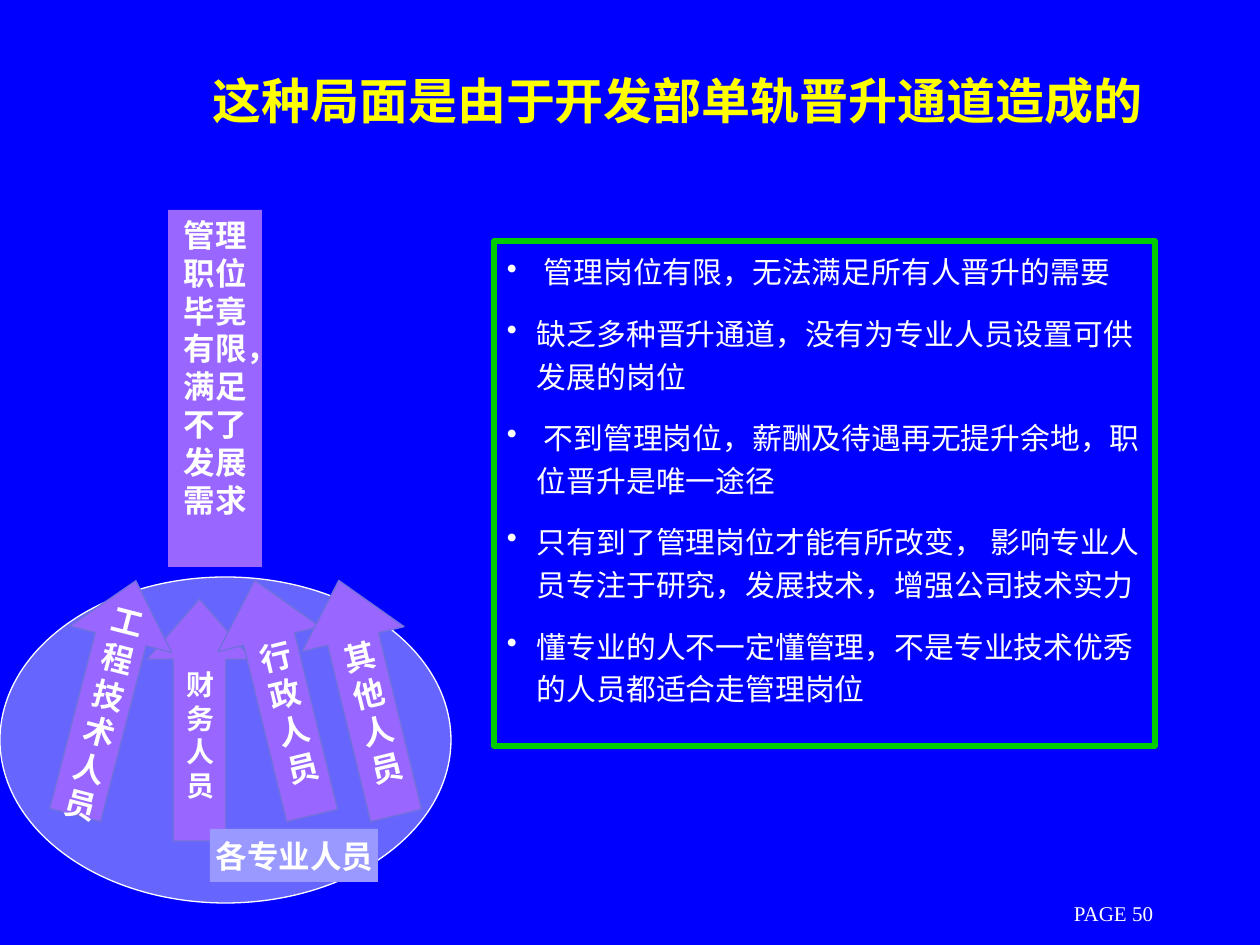
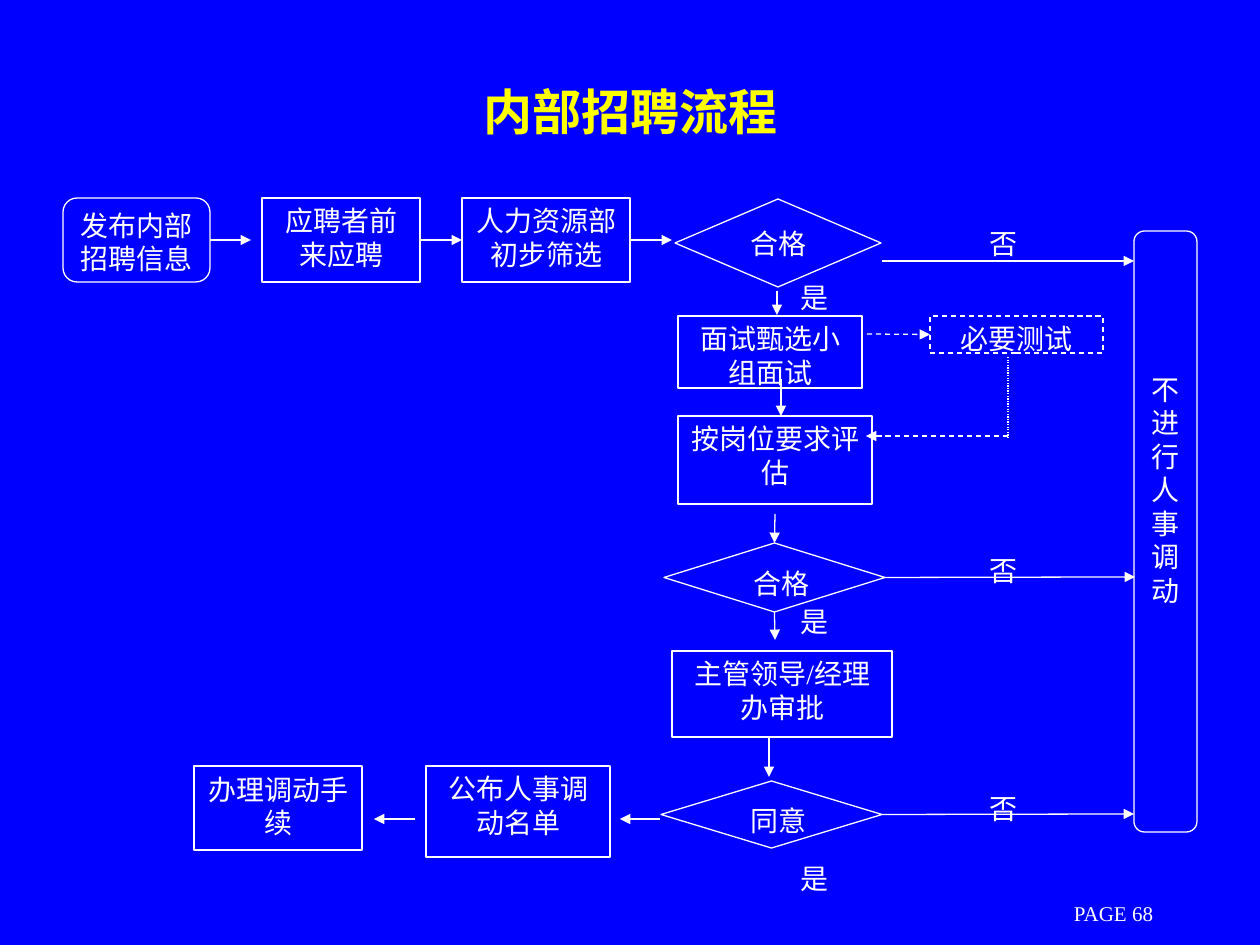
"""Build two slides on promotion channels and internal recruiting."""
from typing import NamedTuple, Optional

from lxml import etree
from pptx import Presentation
from pptx import util as u
from pptx.dml.color import RGBColor
from pptx.enum import dml, shapes, text
from pptx.oxml.ns import qn

PX = u.Inches(1) / 126
COLORS = {
    "background": "0000FF", "title": "FFFF00", "text": "FFFFFF",
    "frame": "00CC00", "arrow": "9966FF", "arrow_edge": "7171DB",
    "crowd": "6666FF", "crowd_label": "9999FF",
}
BODY_FONT = "Times New Roman"
TITLE_FONT = "Noto Sans CJK SC"
BULLET_INDENT = 30
KIND = shapes.MSO_SHAPE
DASH = dml.MSO_LINE
TOP, LEFT, BOTTOM, RIGHT = range(4)


class Area(NamedTuple):
    """A rectangle in px."""
    left: int
    top: int
    width: int
    height: int


class Arrow(NamedTuple):
    """A block arrow for one group of staff."""
    content: str
    left: int
    top: int
    turn: float
    size: int


class Step(NamedTuple):
    """An outlined box of the flowchart."""
    content: str
    kind: shapes.MSO_SHAPE
    area: Area
    dash: Optional[dml.MSO_LINE] = None
    inset_left: int = 13
    inset_top: int = 6


class Joint(NamedTuple):
    """A side of a flowchart step."""
    step: str
    side: int


class Link(NamedTuple):
    """A flowchart line in px with optional joints."""
    x1: int
    y1: int
    x2: int
    y2: int
    start: Optional[Joint] = None
    end: Optional[Joint] = None
    dash: Optional[dml.MSO_LINE] = None
    head: bool = True


def px(length: float) -> u.Emu:
    """Turn px into EMU."""
    return u.Emu(round(length * PX))


def place(area: Area) -> list:
    """Turn an area into EMU."""
    return [px(length) for length in area]


def color(name: str) -> RGBColor:
    """Look up a colour by name."""
    return RGBColor.from_string(COLORS[name])


def add_bullet(para) -> None:
    """Give a paragraph a round bullet and a hanging indent."""
    properties = para._p.get_or_add_pPr()
    properties.set("marL", str(px(BULLET_INDENT)))
    properties.set("indent", str(-px(BULLET_INDENT)))
    tint = etree.SubElement(properties, qn("a:buClr"))
    etree.SubElement(tint, qn("a:srgbClr")).set("val", COLORS["text"])
    etree.SubElement(properties, qn("a:buChar")).set("char", "•")


def write(box, content: str, *, size: float = 16, font: str = BODY_FONT,
          tint: str = "text", bold: bool = False, bullet: bool = False,
          align=text.PP_ALIGN.CENTER, anchor=text.MSO_ANCHOR.TOP,
          wrap: bool = True, line_spacing: Optional[float] = None,
          gap: float = 0, inset_left: int = 13, inset_top: int = 6) -> None:
    """Write formatted text, one paragraph per line."""
    frame = box.text_frame
    frame.word_wrap = wrap
    frame.vertical_anchor = anchor
    frame.margin_left, frame.margin_right = px(inset_left), px(12.6)
    frame.margin_top, frame.margin_bottom = px(inset_top), px(6)
    for index, line in enumerate(content.split("\n")):
        para = frame.add_paragraph() if index else frame.paragraphs[0]
        if bullet:
            add_bullet(para)
        para.alignment = align
        if line_spacing:
            para.line_spacing = line_spacing
        if index and gap:
            para.space_before = u.Pt(gap)
        span = para.add_run()
        span.text = line
        span.font.size = u.Pt(size)
        span.font.name = font
        span.font.bold = bold
        span.font.color.rgb = color(tint)


def add_block(page, kind, area: Area, fill: Optional[str] = None,
              edge: Optional[str] = None, width: float = 0.75):
    """Draw a preset shape with optional fill and outline."""
    box = page.shapes.add_shape(kind, *place(area))
    box.shadow.inherit = False
    if fill:
        box.fill.solid()
        box.fill.fore_color.rgb = color(fill)
    else:
        box.fill.background()
    if edge:
        box.line.color.rgb = color(edge)
        box.line.width = u.Pt(width)
    else:
        box.line.fill.background()
    return box


def add_label(page, content: str, area: Area, **style) -> None:
    """Write text in a plain text box."""
    write(page.shapes.add_textbox(*place(area)), content, **style)


def add_page(deck, title: str, title_area: Area, number: int):
    """Start a slide with its title and page number."""
    page = deck.slides.add_slide(deck.slide_layouts[6])
    middle = text.MSO_ANCHOR.MIDDLE
    add_label(page, f"PAGE {number}", Area(1061, 897, 210, 32), size=12,
              align=text.PP_ALIGN.LEFT, anchor=middle, wrap=False)
    add_label(page, title, title_area, size=28, font=TITLE_FONT,
              tint="title", bold=True, anchor=middle)
    return page


def add_staff_arrow(page, arrow: Arrow) -> None:
    """Draw a tilted block arrow."""
    box = add_block(page, KIND.UP_ARROW, Area(arrow.left, arrow.top, 105, 242),
                    "arrow", "arrow_edge")
    box.adjustments[0], box.adjustments[1] = 0.5, 0.575
    box.rotation = arrow.turn
    write(box, arrow.content, size=arrow.size, bold=True,
          anchor=text.MSO_ANCHOR.MIDDLE)


def add_step(page, step: Step):
    """Draw one flowchart step."""
    box = add_block(page, step.kind, step.area, edge="text")
    if step.dash:
        box.line.dash_style = step.dash
    write(box, step.content, inset_left=step.inset_left,
          inset_top=step.inset_top)
    return box


def add_link(page, link: Link, boxes: dict) -> None:
    """Draw a flowchart line and join it to its steps."""
    line = page.shapes.add_connector(
        shapes.MSO_CONNECTOR.STRAIGHT, px(link.x1), px(link.y1),
        px(link.x2), px(link.y2))
    if link.start:
        line.begin_connect(boxes[link.start.step], link.start.side)
    if link.end:
        line.end_connect(boxes[link.end.step], link.end.side)
    line.line.color.rgb = color("text")
    line.line.width = u.Pt(0.75)
    if link.dash:
        line.line.dash_style = link.dash
    if link.head:
        tail = etree.SubElement(line.line._get_or_add_ln(), qn("a:tailEnd"))
        tail.set("type", "triangle")
    etree.SubElement(line._element.spPr, qn("a:effectLst"))


REASONS = """ 管理岗位有限，无法满足所有人晋升的需要
缺乏多种晋升通道，没有为专业人员设置可供发展的岗位
 不到管理岗位，薪酬及待遇再无提升余地，职位晋升是唯一途径
只有到了管理岗位才能有所改变， 影响专业人员专注于研究，发展技术，增强公司技术实力
懂专业的人不一定懂管理，不是专业技术优秀的人员都适合走管理岗位"""

STAFF_ARROWS = [
    Arrow("财务人员", 147, 599, 0, 16),
    Arrow("工程技术人员", 53, 577, 14.5, 18),
    Arrow("行政人员", 231, 577, 346.3, 18),
    Arrow("其他人员", 315, 577, 346.3, 18),
]

STEPS = {
    "publish": Step("发布内部招聘信息", KIND.ROUNDED_RECTANGLE, Area(63, 198, 147, 84)),
    "apply": Step("应聘者前来应聘", KIND.RECTANGLE, Area(262, 198, 158, 84)),
    "screen": Step("人力资源部初步筛选", KIND.RECTANGLE, Area(462, 198, 168, 84)),
    "screened": Step("合格", KIND.FLOWCHART_DECISION, Area(675, 199, 206, 88)),
    "approve": Step("主管领导/经理办审批", KIND.RECTANGLE, Area(672, 651, 220, 86)),
    "interview": Step("面试甄选小组面试", KIND.RECTANGLE, Area(678, 316, 184, 72)),
    "assess": Step("按岗位要求评估", KIND.RECTANGLE, Area(678, 416, 194, 88)),
    "test": Step("必要测试", KIND.RECTANGLE, Area(930, 316, 173, 37), DASH.DASH),
    "assessed": Step("合格", KIND.FLOWCHART_DECISION, Area(664, 543, 221, 69),
                     inset_left=27),
    "reject": Step("不进行人事调动", KIND.ROUNDED_RECTANGLE,
                   Area(1134, 231, 63, 601), inset_top=138),
    "agreed": Step("同意", KIND.FLOWCHART_DECISION, Area(661, 781, 221, 67),
                   inset_left=27),
    "announce": Step("公布人事调动名单", KIND.RECTANGLE, Area(426, 766, 184, 91)),
    "transfer": Step("办理调动手续", KIND.RECTANGLE, Area(194, 766, 168, 84)),
}

LINKS = [
    Link(210, 240, 251, 240, Joint("publish", RIGHT)),
    Link(420, 240, 462, 240, Joint("apply", RIGHT), Joint("screen", LEFT)),
    Link(630, 240, 672, 240, Joint("screen", RIGHT)),
    Link(777, 291, 777, 315),
    Link(781, 379, 781, 416),
    Link(775, 514, 775, 543, end=Joint("assessed", TOP)),
    Link(775, 612, 775, 640, Joint("assessed", BOTTOM)),
    Link(769, 736, 769, 777),
    Link(882, 261, 1134, 261),
    Link(885, 577, 1135, 577, Joint("assessed", RIGHT)),
    Link(882, 814, 1134, 814, Joint("agreed", RIGHT)),
    Link(660, 819, 620, 819),
    Link(415, 819, 374, 819),
    Link(867, 334, 930, 334, end=Joint("test", LEFT), dash=DASH.DASH),
    Link(1008, 357, 1008, 438, dash=DASH.ROUND_DOT, head=False),
    Link(1008, 436, 866, 436, dash=DASH.DASH),
]

ANSWERS = {"否": (977, [221, 548, 786]), "是": (788, [275, 599, 856])}


def build_promotion(deck) -> None:
    """Show how a single promotion track crowds the staff."""
    page = add_page(deck, "这种局面是由于开发部单轨晋升通道造成的",
                    Area(189, 0, 976, 199), 50)
    add_block(page, KIND.OVAL, Area(0, 577, 451, 326), "crowd", "text")
    panel = add_block(page, KIND.RECTANGLE, Area(494, 241, 661, 505),
                      "background", "frame", 3)
    write(panel, REASONS, size=17, bullet=True, align=text.PP_ALIGN.LEFT,
          line_spacing=1.2, gap=10.6)
    column = add_block(page, KIND.RECTANGLE, Area(168, 210, 94, 357), "arrow")
    write(column, "管理职位毕竟有限，满足不了发展需求", size=18, bold=True)
    for arrow in STAFF_ARROWS:
        add_staff_arrow(page, arrow)
    label = add_block(page, KIND.RECTANGLE, Area(210, 829, 168, 53), "crowd_label")
    write(label, "各专业人员", size=18, bold=True, wrap=False,
          anchor=text.MSO_ANCHOR.MIDDLE)


def build_recruiting(deck) -> None:
    """Draw the internal recruiting flowchart."""
    page = add_page(deck, "内部招聘流程", Area(95, 32, 1071, 157), 68)
    boxes = {name: add_step(page, step) for name, step in STEPS.items()}
    for link in LINKS:
        add_link(page, link, boxes)
    for answer, (left, tops) in ANSWERS.items():
        for top in tops:
            add_label(page, answer, Area(left, top, 63, 37),
                      align=text.PP_ALIGN.JUSTIFY)


def main() -> None:
    """Build and save the deck."""
    deck = Presentation()
    deck.slide_width, deck.slide_height = px(1260), px(945)
    backdrop = deck.slide_master.background.fill
    backdrop.solid()
    backdrop.fore_color.rgb = color("background")
    build_promotion(deck)
    build_recruiting(deck)
    deck.save("out.pptx")


if __name__ == "__main__":
    main()
